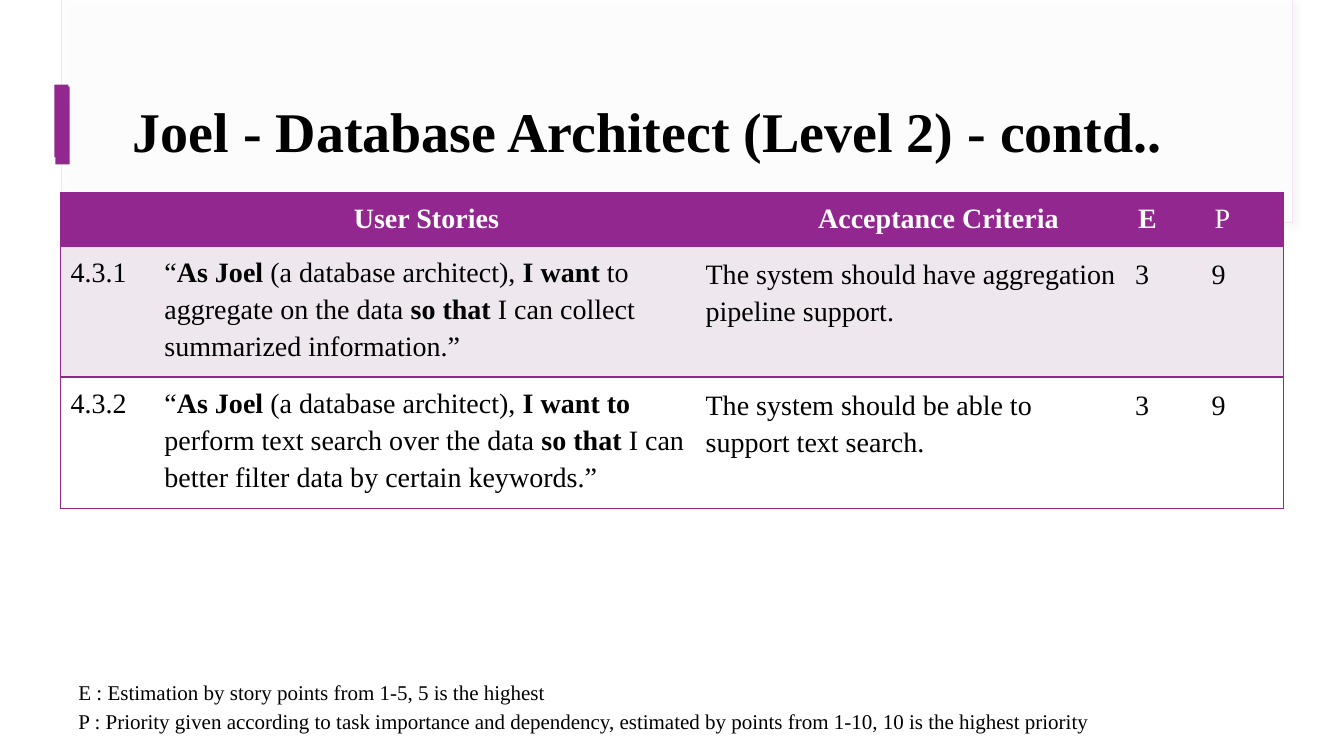
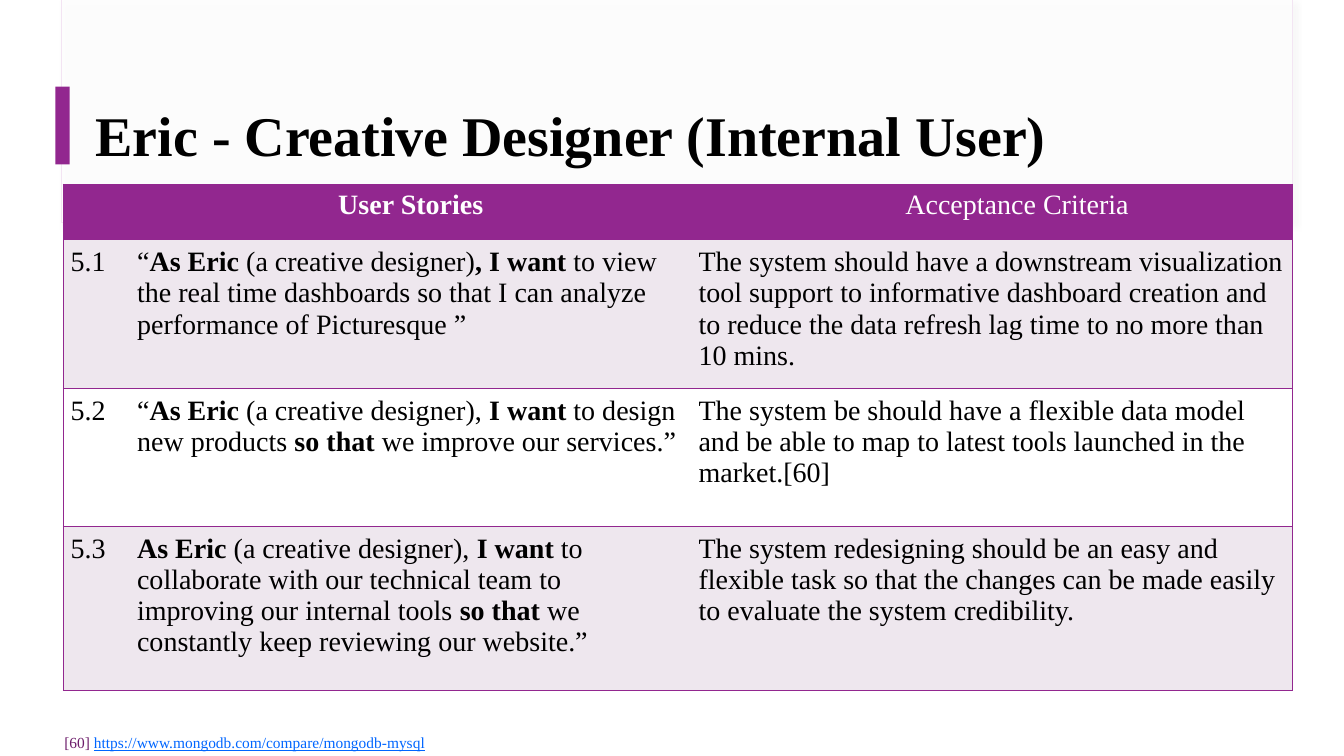
from dataclasses import dataclass

from lxml import etree
from pptx import Presentation
from pptx.dml.color import RGBColor
from pptx.enum.shapes import MSO_SHAPE
from pptx.enum.text import MSO_ANCHOR, PP_ALIGN
from pptx.oxml.ns import qn
from pptx.util import Inches, Pt

RECT = MSO_SHAPE.RECTANGLE
MIDDLE = MSO_ANCHOR.MIDDLE
TOP = MSO_ANCHOR.TOP
LEFT = PP_ALIGN.LEFT
CENTER = PP_ALIGN.CENTER


@dataclass(frozen=True)
class Theme:
    face: str = "Times New Roman"
    ink: str = "000000"
    paper: str = "FFFFFF"
    accent: str = "92278F"
    tint: str = "EEE7EE"
    edge: str = "F3E4F3"
    shade: str = "D8D8D8"
    cite: str = "6D1D6B"
    url: str = "0066FF"
    title: int = 40
    body: int = 20
    note: int = 15
    source: int = 11
    wide: tuple = (0.1, 0.05, 0.1, 0.05)
    tight: tuple = (0.07, 0.07, 0.07, 0.07)
    loose: tuple = (0.1, 0.1, 0.1, 0.1)


def apply(target, **values):
    for name, value in values.items():
        setattr(target, name, value)


def color(parent, value, alpha=None):
    node = etree.SubElement(parent, qn("a:srgbClr"), val=value)
    if alpha:
        etree.SubElement(node, qn("a:alpha"), val=str(alpha * 1000))


class Deck:
    def __init__(self, theme):
        self.theme = theme
        self.file = Presentation()
        apply(self.file, slide_width=Inches(13.33), slide_height=Inches(7.5))
        self.slide = None

    def x(self, share):
        return round(self.file.slide_width * share / 100)

    def y(self, share):
        return round(self.file.slide_height * share / 100)

    def place(self, box):
        left, top, width, height = box
        return self.x(left), self.y(top), self.x(width), self.y(height)

    def start(self):
        look = self.theme
        self.slide = self.file.slides.add_slide(self.file.slide_layouts[6])
        band = self.block((4.58, 0, 91.58, 29.47), look.paper, 49, look.edge)
        self.shadow(band)
        self.block((4.65, 0, 91.5, 29.33), look.paper, 49)
        self.block((4.13, 11.47, 1.05, 10.27), look.accent)

    def block(self, box, fill, alpha=None, edge=None):
        shape = self.slide.shapes.add_shape(RECT, *self.place(box))
        shape.shadow.inherit = False
        shape.fill.solid()
        shape.fill.fore_color.rgb = RGBColor.from_string(fill)
        if alpha:
            tone = shape.fill._xPr.find(qn("a:solidFill"))[0]
            etree.SubElement(tone, qn("a:alpha"), val=str(alpha * 1000))
        if edge:
            shape.line.color.rgb = RGBColor.from_string(edge)
            shape.line.width = Pt(0.75)
        else:
            shape.line.fill.background()
        return shape

    def shadow(self, shape):
        effect = shape._element.spPr.find(qn("a:effectLst"))
        node = etree.SubElement(
            effect, qn("a:outerShdw"), blurRad=str(Pt(4)), dist=str(Pt(3)),
            dir="2700000", algn="tl", rotWithShape="0")
        color(node, self.theme.shade, 29)

    def inset(self, target, sides):
        names = ("margin_left", "margin_top", "margin_right", "margin_bottom")
        apply(target, **{n: Inches(s) for n, s in zip(names, sides)})

    def run(self, para, text, size, tone, **form):
        run = para.add_run()
        run.text = text
        apply(run.font, name=self.theme.face, size=Pt(size), **form)
        run.font.color.rgb = RGBColor.from_string(tone)

    def text(self, box, sides, anchor=TOP):
        frame = self.slide.shapes.add_textbox(*self.place(box)).text_frame
        apply(frame, word_wrap=True, vertical_anchor=anchor)
        self.inset(frame, sides)
        return frame

    def title(self, box, text, **form):
        look = self.theme
        para = self.text(box, look.wide, MIDDLE).paragraphs[0]
        apply(para, **form)
        self.run(para, text, look.title, look.ink, bold=True)

    def notes(self, box, lines):
        look = self.theme
        frame = self.text(box, look.loose)
        for row, line in enumerate(lines):
            para = frame.add_paragraph() if row else frame.paragraphs[0]
            para.line_spacing = 1.15
            self.run(para, line, look.note, look.ink)

    def source(self, box, mark, link):
        look = self.theme
        para = self.text(box, look.loose).paragraphs[0]
        self.run(para, mark, look.source, look.cite)
        self.run(para, link, look.source, look.url, underline=True)

    def border(self, cell, first, last):
        props = cell._tc.get_or_add_tcPr()
        sides = {"L": first, "R": last, "T": True, "B": True}
        for side, shown in sides.items():
            line = etree.SubElement(props, qn("a:ln" + side), w=str(Pt(1)))
            if shown:
                color(etree.SubElement(line, qn("a:solidFill")), self.theme.accent)
            else:
                etree.SubElement(line, qn("a:noFill"))

    def cell(self, cell, text, fill, tone, sides, **form):
        self.inset(cell, sides)
        cell.fill.solid()
        cell.fill.fore_color.rgb = RGBColor.from_string(fill)
        para = cell.text_frame.paragraphs[0]
        apply(para, **form)
        for part, words in enumerate(text.split("*")):
            if words:
                self.run(para, words, self.theme.body, tone, bold=part % 2 == 1)

    def table(self, left, top, cols, rows, data, narrow, space):
        look = self.theme
        box = (left, top, sum(cols), sum(rows))
        grid = self.slide.shapes.add_table(
            len(rows), len(cols), *self.place(box)).table
        apply(grid, first_row=False, horz_banding=False)
        for col, share in zip(grid.columns, cols):
            col.width = self.x(share)
        for row, share in zip(grid.rows, rows):
            row.height = self.y(share)
        for r, line in enumerate(data):
            for c, words in enumerate(line):
                cell = grid.cell(r, c)
                self.border(cell, c == 0, c == len(cols) - 1)
                if r == 0:
                    fill, tone, sides = look.accent, look.paper, look.wide
                else:
                    fill = look.tint if r % 2 else look.paper
                    tone = look.ink
                    sides = look.tight if c >= narrow else look.wide
                head = r == 0 and c in (1, 2)
                self.cell(cell, words, fill, tone, sides,
                          alignment=CENTER if head else LEFT, line_spacing=space)
                if r == 0 and c == 2:
                    props = cell.text_frame.paragraphs[0]._p.get_or_add_pPr()
                    props.set("marL", str(Inches(0.5)))


def joel(deck):
    deck.start()
    deck.block((4.05, 11.2, 1.05, 9.6), deck.theme.accent)
    deck.title((9.15, 8, 83.4, 17.2),
               "Joel - Database Architect (Level 2) - contd..",
               line_spacing=1.15, space_after=Pt(16))
    deck.table(4.5, 25.47, (6.98, 40.5, 31.95, 5.7, 5.85), (7.07, 16.1, 16.1), (
        ("", "*User Stories*", "*Acceptance Criteria*", "*E*", "P"),
        ("4.3.1",
         "“*As Joel *(a database architect),* I want* to aggregate on the data "
         "*so that* I can collect summarized information.”",
         "The system should have aggregation pipeline support.", "3", "9"),
        ("4.3.2",
         "“*As Joel *(a database architect),* I want to *perform text search "
         "over the data *so that* I can better filter data by certain keywords.”",
         "The system should be able to support text search.", "3", "9"),
    ), narrow=2, space=1.2)
    deck.notes((5.1, 88, 89.78, 9.6), (
        "E : Estimation by story points from 1-5, 5 is the highest",
        "P : Priority given according to task importance and dependency, "
        "estimated by points from 1-10, 10 is the highest priority"))


def eric(deck):
    deck.start()
    deck.table(4.73, 24.4, (4.95, 41.78, 44.7), (7.33, 18.27, 18.27, 21.73), (
        ("", "*User Stories*", "Acceptance Criteria"),
        ("5.1",
         "“*As Eric *(a creative designer)*, I want *to view the real time "
         "dashboards so that I can analyze performance of Picturesque ”",
         "The system should have a downstream visualization tool support to "
         "informative dashboard creation and to reduce the data refresh lag "
         "time to no more than 10 mins."),
        ("5.2",
         "“*As Eric *(a creative designer), *I want *to design new products "
         "*so that *we improve our services.”",
         "The system be should have a flexible data model and be able to map "
         "to latest tools launched in the market.[60]"),
        ("5.3",
         "*As Eric* (a creative designer), *I want *to collaborate with our "
         "technical team to improving our internal tools *so that* we "
         "constantly keep reviewing our website.”",
         "The system redesigning should be an easy and flexible task so that "
         "the changes can be made easily to evaluate the system credibility."),
    ), narrow=0, space=1.0)
    deck.title((6.38, 10.8, 87.22, 14.93),
               "Eric - Creative Designer (Internal User)", line_spacing=0.9)
    deck.source((4.05, 95.73, 40.35, 3.87), "[60] ",
                "https://www.mongodb.com/compare/mongodb-mysql")


def main():
    deck = Deck(Theme())
    joel(deck)
    eric(deck)
    deck.file.save("out.pptx")


if __name__ == "__main__":
    main()
